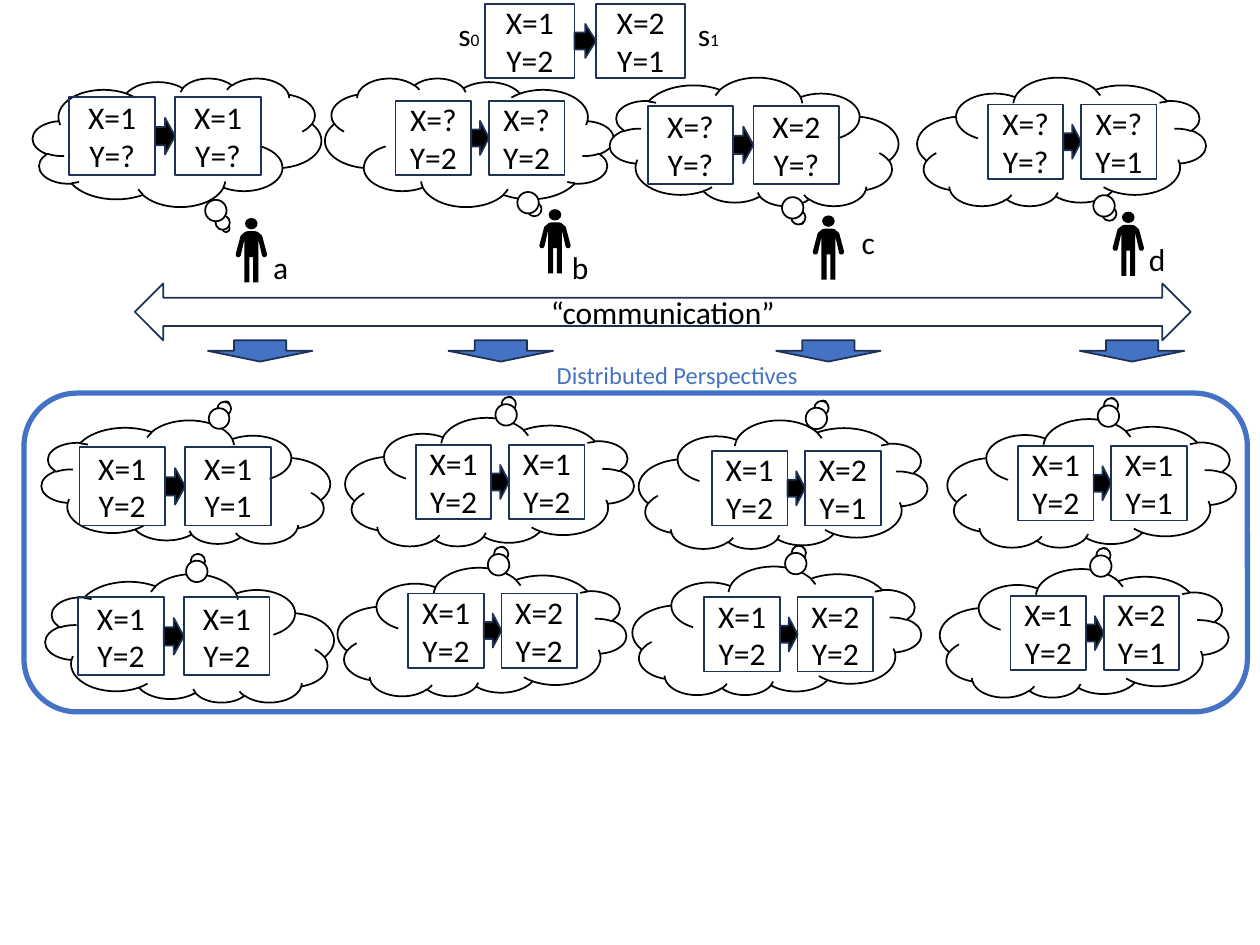
from dataclasses import dataclass

from pptx import Presentation
from pptx.dml.color import RGBColor
from pptx.enum.shapes import MSO_SHAPE as Shp
from pptx.enum.text import MSO_ANCHOR as Anchor, PP_ALIGN as Align
from pptx.util import Inches, Pt

COLS, ROWS = 100, 75
BLACK, WHITE, NAVY, BLUE = "000000", "FFFFFF", "1E3256", "4472C4"

prs = Presentation()
prs.slide_width, prs.slide_height = Inches(10), Inches(7.5)
s = prs.slides.add_slide(prs.slide_layouts[6])


@dataclass
class Size:
    w: float
    h: float
    arrow_w: float
    arrow_h: float


@dataclass
class Pair:
    x: float
    y: float
    size: Size
    before: str
    after: str


@dataclass
class Thought:
    x: float
    y: float
    flip: str
    tail: tuple[float, float]
    pair: Pair
    h: float = 10.2


@dataclass
class Agent:
    name: str
    x: float
    y: float
    label_x: float
    label_y: float
    arrow_x: float


WIDE = Size(6.8, 6.2, 1.6, 2.9)
SMALL = Size(6, 5.9, 1.4, 2.7)
GLOBAL = Size(7.1, 5.9, 1.7, 2.7)

AGENTS = [
    Agent("a", 18.7, 17.3, 20.7, 19.2, 16.5),
    Agent("b", 42.8, 16.6, 44.4, 19.2, 35.6),
    Agent("c", 64.5, 17.1, 67.4, 17.2, 61.6),
    Agent("d", 88.3, 16.8, 90.2, 18.6, 85.7),
]

THOUGHTS = [
    Thought(2.6, 6.2, "", (0.17, 0.67), Pair(5.5, 7.7, WIDE, "1?", "1?")),
    Thought(25.8, 6.2, "h", (-0.23, 0.53), Pair(31.4, 8, SMALL, "?2", "?2")),
    Thought(72.8, 6.2, "hv", (-0.17, -0.57), Pair(78.4, 8.3, SMALL, "??", "?1")),
    Thought(48.4, 6.2, "v", (0.16, -0.61), Pair(51.4, 8.4, WIDE, "??", "2?")),
    Thought(3.3, 33.4, "v", (0.14, 0.63), Pair(6.3, 35.5, WIDE, "12", "11"), 9.8),
    Thought(27.4, 33.2, "hv", (-0.07, 0.64), Pair(33, 35.3, SMALL, "12", "12")),
    Thought(50.7, 33.4, "hv", (-0.14, 0.63), Pair(56.5, 35.8, SMALL, "12", "21")),
    Thought(75.2, 33.3, "hv", (-0.07, 0.64), Pair(80.8, 35.4, SMALL, "12", "11")),
    Thought(3.6, 45.6, "v", (0.03, 0.63), Pair(6.2, 47.4, WIDE, "12", "12")),
    Thought(26.8, 45.1, "hv", (-0.07, 0.64), Pair(32.4, 47.1, SMALL, "12", "22")),
    Thought(50.2, 45, "hv", (-0.08, 0.64), Pair(55.9, 47.4, SMALL, "12", "22")),
    Thought(74.6, 45.2, "hv", (-0.07, 0.64), Pair(80.2, 47.3, SMALL, "12", "21")),
]

HALF_BODY = [(0.3, 0.05), (0.5, 0.1), (0.85, 0.4), (1.25, 1.9), (1.15, 2.1),
             (0.95, 2.1), (0.85, 2), (0.55, 0.7), (0.55, 4.1), (0.15, 4.1), (0.15, 2.1)]


def rgb(color: str) -> RGBColor:
    return RGBColor.from_string(color)


def across(cols: float) -> int:
    return round(prs.slide_width * cols / COLS)


def down(rows: float) -> int:
    return round(prs.slide_height * rows / ROWS)


def box(x: float, y: float, w: float, h: float) -> tuple[int, int, int, int]:
    return across(x), down(y), across(w), down(h)


def paint(sp, fill: str | None, line: str | None, width: float = 1) -> None:
    sp.shadow.inherit = False
    if fill:
        sp.fill.solid()
        sp.fill.fore_color.rgb = rgb(fill)
    else:
        sp.fill.background()
    if line:
        sp.line.color.rgb = rgb(line)
        sp.line.width = Pt(width)
    else:
        sp.line.fill.background()


def shape(kind, x: float, y: float, w: float, h: float, fill: str | None = None,
          line: str | None = NAVY, width: float = 1):
    sp = s.shapes.add_shape(kind, *box(x, y, w, h))
    paint(sp, fill, line, width)
    return sp


def write(sp, *lines: str, size: float = 18, color: str = BLACK, align=Align.CENTER,
          anchor=Anchor.MIDDLE, index: str = "") -> None:
    tf = sp.text_frame
    tf.word_wrap = True
    tf.vertical_anchor = anchor
    for i, text in enumerate(lines):
        p = tf.paragraphs[0] if i == 0 else tf.add_paragraph()
        p.alignment = align
        for part, points in ((text, size), (index, 10)):
            if part:
                r = p.add_run()
                r.text = part
                r.font.name, r.font.size = "Calibri", Pt(points)
                r.font.color.rgb = rgb(color)


def label(text: str, x: float, y: float, w: float, h: float = 4, **fmt) -> None:
    sp = s.shapes.add_textbox(*box(x, y, w, h))
    write(sp, text, align=Align.LEFT, anchor=Anchor.TOP, **fmt)


def draw_pair(pair: Pair) -> None:
    z = pair.size
    step = z.w + z.arrow_w
    for i, (x_val, y_val) in enumerate((pair.before, pair.after)):
        sp = shape(Shp.RECTANGLE, pair.x + i * step, pair.y, z.w, z.h)
        write(sp, f"X={x_val}", f"Y={y_val}")
    shape(Shp.RIGHT_ARROW, pair.x + z.w, pair.y + (z.h - z.arrow_h) / 2,
          z.arrow_w, z.arrow_h, BLACK)


def draw_thought(t: Thought) -> None:
    sp = shape(Shp.CLOUD_CALLOUT, t.x, t.y, 22.9, t.h, WHITE, BLACK)
    sp.adjustments[0], sp.adjustments[1] = t.tail
    for axis in t.flip:
        sp._element.spPr.xfrm.set(f"flip{axis.upper()}", "1")
    draw_pair(t.pair)


def draw_agent(a: Agent) -> None:
    shape(Shp.OVAL, a.x + 0.75, a.y, 1, 0.9, BLACK, None)
    mirrored = [(-dx, dy) for dx, dy in reversed(HALF_BODY)]
    mid, top = a.x + 1.25, a.y + 1
    points = [(across(mid + dx), down(top + dy)) for dx, dy in HALF_BODY + mirrored]
    body = s.shapes.build_freeform(*points[0])
    body.add_line_segments(points[1:], close=True)
    paint(body.convert_to_shape(), BLACK, None)
    label(a.name, a.label_x, a.label_y, 3.5)
    shape(Shp.DOWN_ARROW, a.arrow_x, 27, 8.3, 1.7, BLUE)


shape(Shp.ROUNDED_RECTANGLE, 1.9, 31.2, 97.1, 25.3, None, BLUE, 3)
label("Distributed Perspectives", 43.2, 28.1, 27.6, 3.4, size=14, color=BLUE)
draw_pair(Pair(38.5, 0.3, GLOBAL, "12", "21"))
label("s", 35.4, 0.7, 4.3, index="0")
label("s", 54.4, 0.7, 4.3, index="1")
write(shape(Shp.LEFT_RIGHT_ARROW, 10.7, 22.5, 83.8, 4.5), "“communication”")
for thought in THOUGHTS:
    draw_thought(thought)
for agent in AGENTS:
    draw_agent(agent)

prs.save("out.pptx")
